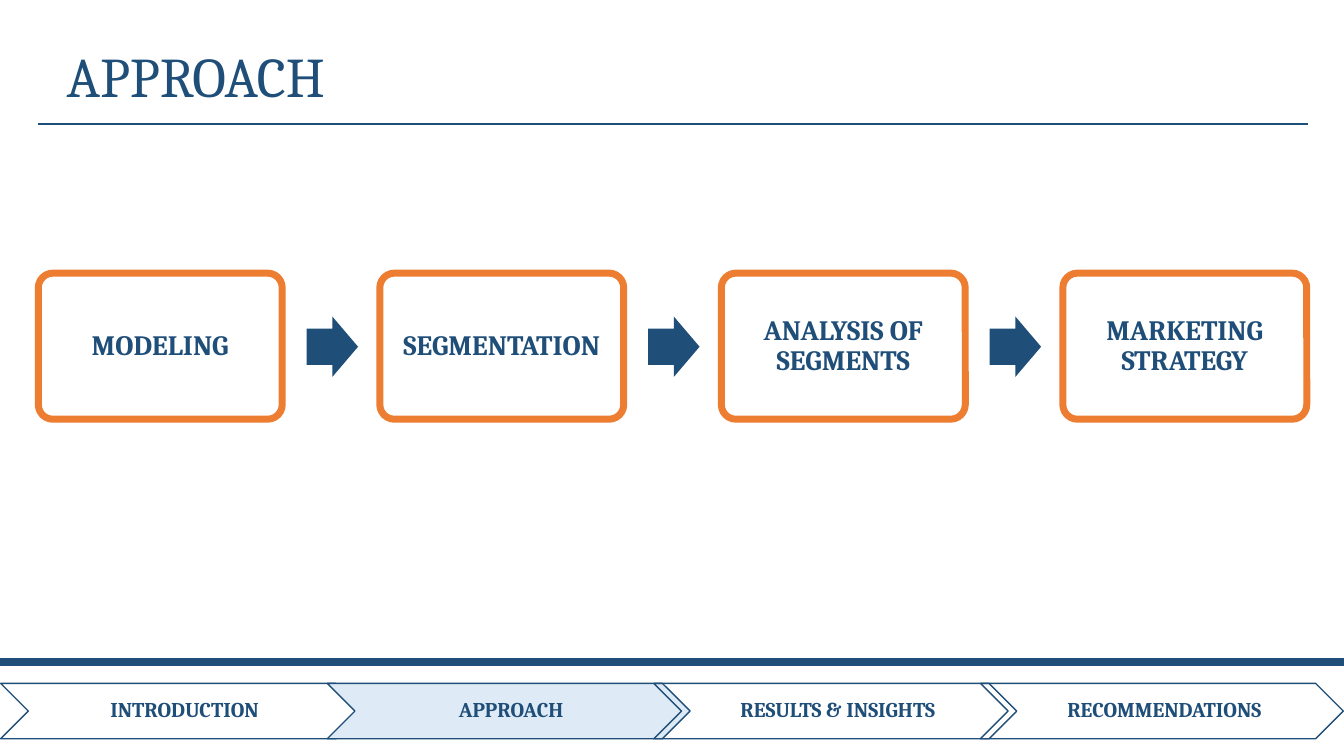
"""Build the approach slide: a four-step process above a chapter tracker."""
from typing import NamedTuple, Optional

from lxml import etree
from pptx import Presentation
from pptx import util as u
from pptx.dml.color import RGBColor
from pptx.enum import shapes, text
from pptx.oxml.ns import qn

NAVY, ORANGE, PALE, WHITE = "1F4E79", "ED7D31", "DEEBF7", "FFFFFF"
FONT = "Cambria"
WIDTH, HEIGHT = u.Inches(13.33), u.Inches(7.5)


class Area(NamedTuple):
    """A rectangle in percent of the slide's width and height."""
    left: float
    top: float
    width: float
    height: float

    def shifted(self, columns: float) -> "Area":
        """Return the area moved right by a share of the width."""
        return self._replace(left=self.left + columns)

    def lengths(self) -> tuple[int, int, int, int]:
        """Return left, top, width and height in EMU."""
        return (across(self.left), down(self.top),
                across(self.width), down(self.height))


class Style(NamedTuple):
    """The look shared by a row of labelled shapes."""
    kind: shapes.MSO_SHAPE
    line: str
    weight: float
    size: float
    insets: tuple[float, float, float, float]
    adjustment: Optional[float] = None


class Item(NamedTuple):
    """A label and an optional fill."""
    label: str
    fill: Optional[str] = None


class Rule(NamedTuple):
    """A horizontal line in percent of the slide."""
    start: float
    end: float
    y: float
    weight: float


TITLE = Area(4.43, 4.93, 89.42, 14.27)
RULES = [Rule(0, 100, 87.6, 6), Rule(2.85, 97.3, 16.4, 2)]

STEP, STEP_PITCH = Area(2.85, 36.13, 18.15, 19.33), 25.41
ARROW = Area(22.81, 41.87, 3.83, 8)
STEP_STYLE = Style(shapes.MSO_SHAPE.ROUNDED_RECTANGLE, ORANGE, 5, 20,
                   (0.08, 0.08, 0.08, 0.08), 0.1)
STEPS = [Item("MODELING"), Item("SEGMENTATION"),
         Item("ANALYSIS OF SEGMENTS"), Item("MARKETING STRATEGY", WHITE)]

CHAPTER, CHAPTER_PITCH = Area(0.05, 90.4, 27, 7.33), 24.3
CHAPTER_STYLE = Style(shapes.MSO_SHAPE.CHEVRON, NAVY, 1, 15,
                      (0.07, 0.02, 0.02, 0.02))
CHAPTERS = [Item("INTRODUCTION"), Item("APPROACH", PALE),
            Item("RESULTS & INSIGHTS"), Item("RECOMMENDATIONS")]


def across(share: float) -> int:
    """Convert a percentage of the slide's width to EMU."""
    return round(WIDTH * share / 100)


def down(share: float) -> int:
    """Convert a percentage of the slide's height to EMU."""
    return round(HEIGHT * share / 100)


def color(value: str) -> RGBColor:
    """Convert a hex string to a colour."""
    return RGBColor.from_string(value)


def paint(sp, fill: Optional[str]) -> None:
    """Fill a shape, or leave it open."""
    if fill:
        sp.fill.solid()
        sp.fill.fore_color.rgb = color(fill)
    else:
        sp.fill.background()


def write(sp, label: str, size: float, align: text.PP_ALIGN,
          anchor: text.MSO_ANCHOR, insets: tuple[float, float, float, float],
          bold: bool = False, spacing: float = 1.0) -> None:
    """Put one formatted run into a shape."""
    tf = sp.text_frame
    tf.word_wrap = True
    tf.auto_size = text.MSO_AUTO_SIZE.NONE
    tf.vertical_anchor = anchor
    tf.margin_left, tf.margin_top, tf.margin_right, tf.margin_bottom = map(
        u.Inches, insets)
    p = tf.paragraphs[0]
    p.alignment, p.line_spacing = align, spacing
    r = p.add_run()
    r.text = label
    r.font.name, r.font.size, r.font.bold = FONT, u.Pt(size), bold
    r.font.color.rgb = color(NAVY)


def draw_title(s) -> None:
    """Place and format the title placeholder."""
    sp = s.shapes.title
    sp.left, sp.top, sp.width, sp.height = TITLE.lengths()
    write(sp, "APPROACH", 40, text.PP_ALIGN.LEFT, text.MSO_ANCHOR.TOP,
          (0.07, 0.04, 0.07, 0.04))


def draw_rule(s, rule: Rule) -> None:
    """Draw a horizontal line."""
    sp = s.shapes.add_connector(
        shapes.MSO_CONNECTOR.STRAIGHT, across(rule.start), down(rule.y),
        across(rule.end), down(rule.y))
    sp.line.color.rgb = color(NAVY)
    sp.line.width = u.Pt(rule.weight)
    etree.SubElement(sp._element.spPr, qn("a:effectLst"))


def draw_item(s, item: Item, area: Area, style: Style) -> None:
    """Draw one labelled shape."""
    sp = s.shapes.add_shape(style.kind, *area.lengths())
    sp.shadow.inherit = False
    if style.adjustment is not None:
        sp.adjustments[0] = style.adjustment
    paint(sp, item.fill)
    sp.line.color.rgb = color(style.line)
    sp.line.width = u.Pt(style.weight)
    write(sp, item.label, style.size, text.PP_ALIGN.CENTER,
          text.MSO_ANCHOR.MIDDLE, style.insets, bold=True, spacing=0.9)


def draw_arrow(s, area: Area) -> None:
    """Draw a block arrow between two steps."""
    sp = s.shapes.add_shape(shapes.MSO_SHAPE.RIGHT_ARROW, *area.lengths())
    sp.shadow.inherit = False
    sp.adjustments[0], sp.adjustments[1] = 0.6, 0.5
    paint(sp, NAVY)
    sp.line.fill.background()


def main() -> None:
    """Build and save the presentation."""
    prs = Presentation()
    prs.slide_width, prs.slide_height = WIDTH, HEIGHT
    s = prs.slides.add_slide(prs.slide_layouts.get_by_name("Title Only"))
    draw_title(s)
    for rule in RULES:
        draw_rule(s, rule)
    for i, step in enumerate(STEPS):
        draw_item(s, step, STEP.shifted(i * STEP_PITCH), STEP_STYLE)
        if i < len(STEPS) - 1:
            draw_arrow(s, ARROW.shifted(i * STEP_PITCH))
    for i, chapter in enumerate(CHAPTERS):
        draw_item(s, chapter, CHAPTER.shifted(i * CHAPTER_PITCH), CHAPTER_STYLE)
    prs.save("out.pptx")


if __name__ == "__main__":
    main()
